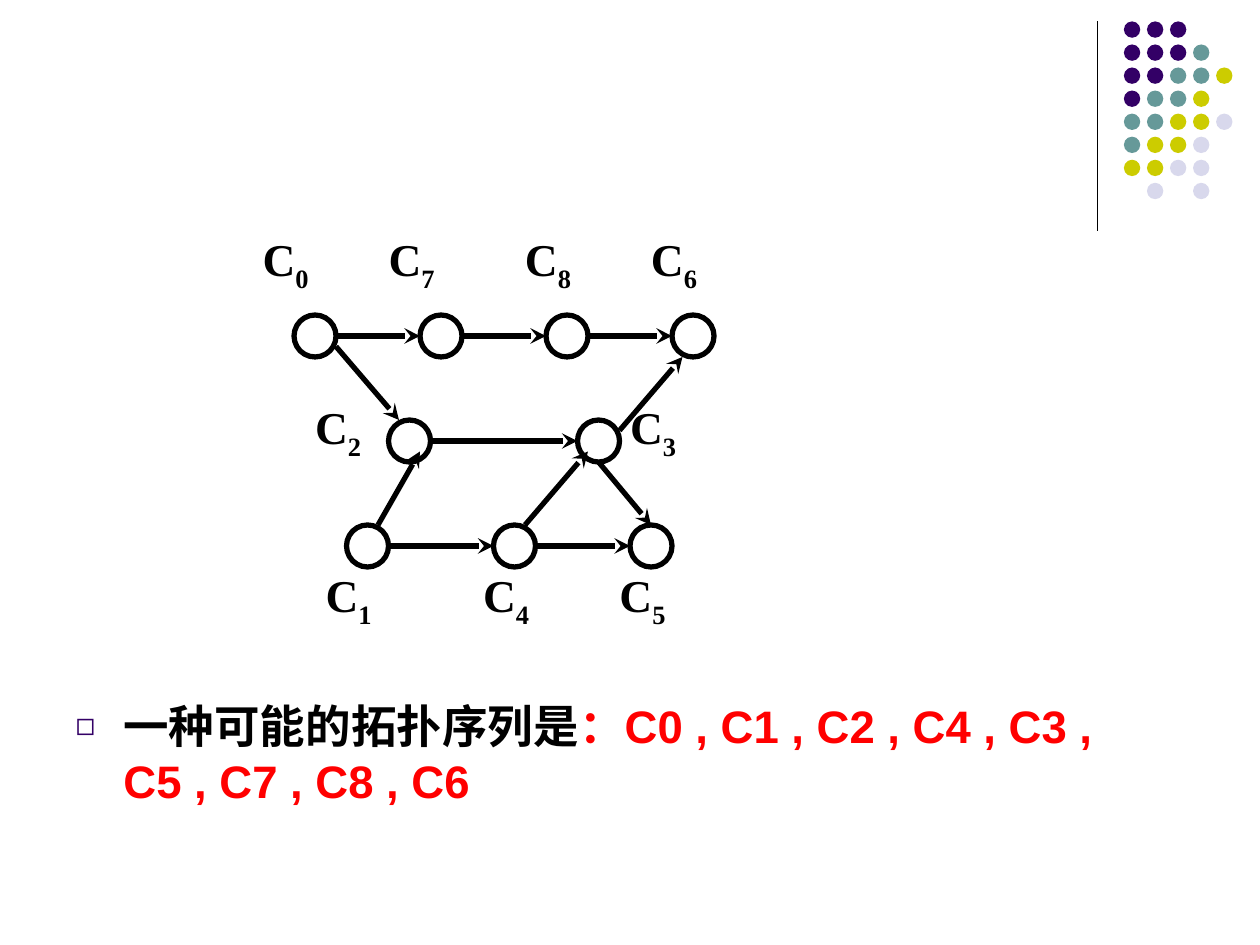
from lxml.etree import SubElement
from pptx import Presentation
from pptx.dml.color import RGBColor
from pptx.enum.shapes import MSO_CONNECTOR, MSO_SHAPE
from pptx.enum.text import MSO_ANCHOR, MSO_AUTO_SIZE
from pptx.oxml.ns import qn
from pptx.util import Inches, Pt

COLORS = {"ink": "000000", "red": "FF0000", "P": "330066",
          "T": "669999", "Y": "CCCC00", "L": "D8D8EC"}
GRID = 1 / 12
NODE = 4
DOT_ROWS = ["PPP", "PPPT", "PPTTY", "PTTY", "TTYYL", "TYYL", "YYLL", " L L"]
NODES = {
    "0": ((28, 30), (25, 22)),
    "7": ((40, 30), (37, 22)),
    "8": ((52, 30), (50, 22)),
    "6": ((64, 30), (62, 22)),
    "2": ((37, 40), (30, 38)),
    "3": ((55, 40), (60, 38)),
    "1": ((33, 50), (31, 54)),
    "4": ((47, 50), (46, 54)),
    "5": ((60, 50), (59, 54)),
}
LEVEL_EDGES = ["07", "78", "86", "23", "14", "45"]
SLOPED_EDGES = [
    ((32, 33), (38, 40)),
    ((36, 50), (40, 43)),
    ((50, 50), (56, 43)),
    ((59, 41), (65, 34)),
    ((57, 44), (62, 50)),
]


def color(name):
    return RGBColor.from_string(COLORS[name])


def grid(*values):
    return [Inches(v * GRID) for v in values]


def add_circle(s, box, fill=None):
    sp = s.shapes.add_shape(MSO_SHAPE.OVAL, *box)
    sp.shadow.inherit = False
    if fill:
        sp.fill.solid()
        sp.fill.fore_color.rgb = color(fill)
        sp.line.fill.background()
    else:
        sp.fill.background()
        sp.line.color.rgb = color("ink")
        sp.line.width = Pt(3)


def add_line(s, ends, width, arrow=False):
    cx = s.shapes.add_connector(MSO_CONNECTOR.STRAIGHT, *ends)
    cx.line.color.rgb = color("ink")
    cx.line.width = Pt(width)
    if arrow:
        SubElement(cx.line._get_or_add_ln(), qn("a:tailEnd"), type="stealth")
    SubElement(cx._element.spPr, qn("a:effectLst"))


def add_run(p, text, font, fill="ink"):
    r = p.add_run()
    r.text = text
    r.font.name = font
    r.font.size = Pt(26)
    r.font.bold = True
    r.font.color.rgb = color(fill)
    return r


def add_label(s, number, col, row):
    tf = s.shapes.add_textbox(*grid(col, row, 8, 6)).text_frame
    tf.margin_left = tf.margin_top = tf.margin_right = tf.margin_bottom = 0
    tf.word_wrap = True
    tf.vertical_anchor = MSO_ANCHOR.MIDDLE
    p = tf.paragraphs[0]
    add_run(p, "C", "Times New Roman")
    r = add_run(p, number, "Times New Roman")
    r.font._element.set("baseline", "-25000")


def add_dots(s):
    for row, marks in enumerate(DOT_ROWS):
        for col, mark in enumerate(marks):
            if mark != " ":
                box = (8.92 + col * 0.183, 0.17 + row * 0.183, 0.13, 0.13)
                add_circle(s, [Inches(v) for v in box], mark)


def add_graph(s):
    for (col, row), _ in NODES.values():
        add_circle(s, grid(col, row, NODE, NODE))
    for start, end in LEVEL_EDGES:
        (x1, y), (x2, _) = NODES[start][0], NODES[end][0]
        middle = y + NODE / 2
        add_line(s, grid(x1 + NODE, middle, x2, middle), 3, arrow=True)
    for start, end in SLOPED_EDGES:
        add_line(s, grid(*start, *end), 3, arrow=True)
    for number, (_, place) in NODES.items():
        add_label(s, number, *place)


def add_bullet(p):
    pPr = p._p.get_or_add_pPr()
    pPr.set("marL", str(Inches(0.38)))
    pPr.set("indent", str(-Inches(0.38)))
    SubElement(SubElement(pPr, qn("a:buClr")), qn("a:srgbClr"), val=COLORS["P"])
    SubElement(pPr, qn("a:buSzPct"), val="70000")
    SubElement(pPr, qn("a:buChar"), char="◻")


def fill_body(prs, body):
    body.left, body.width = int(prs.slide_width * 0.05), int(prs.slide_width * 0.9)
    body.top, body.height = Inches(5.49), Inches(1.21)
    tf = body.text_frame
    tf.auto_size = MSO_AUTO_SIZE.NONE
    tf.word_wrap = True
    tf.vertical_anchor = MSO_ANCHOR.TOP
    p = tf.paragraphs[0]
    add_bullet(p)
    p.space_before = Pt(0)
    add_run(p, "一种可能的拓扑序列是", "Arial")
    add_run(p, "：C0 , C1 , C2 , C4 , C3 , C5 , C7 , C8 , C6", "Arial", "red")


def main():
    prs = Presentation()
    prs.slide_width, prs.slide_height = Inches(10), Inches(7.5)
    s = prs.slides.add_slide(prs.slide_layouts[1])
    title = s.shapes.title._element
    title.getparent().remove(title)
    add_line(s, [Inches(v) for v in (8.71, 0.17, 8.71, 1.83)], 0.75)
    add_dots(s)
    fill_body(prs, s.placeholders[1])
    add_graph(s)
    prs.save("out.pptx")


if __name__ == "__main__":
    main()
